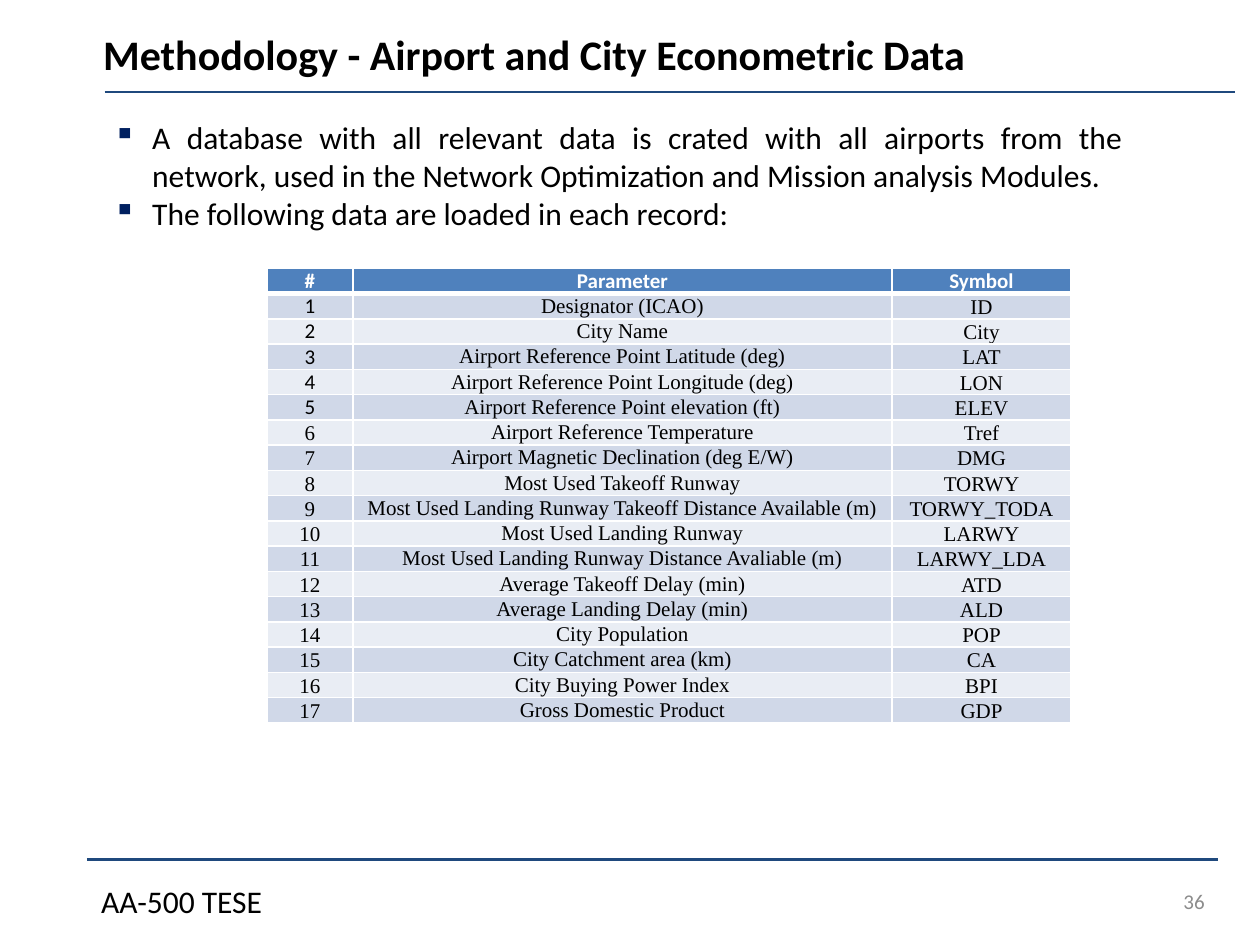
"""Builds the airport and city econometric data slide."""
import typing

import pptx
import pptx.dml.color
import pptx.enum.shapes
import pptx.enum.text
import pptx.oxml
import pptx.oxml.ns
import pptx.util

Inches = pptx.util.Inches
Pt = pptx.util.Pt
Align = pptx.enum.text.PP_ALIGN
Anchor = pptx.enum.text.MSO_ANCHOR
SANS, SERIF = "Calibri", "Times New Roman"
BLACK, WHITE = "000000", "FFFFFF"


class Rule(typing.NamedTuple):
    left: float
    right: float
    top: float


class Label(typing.NamedTuple):
    box: tuple
    lines: tuple
    size: int
    align: typing.Any = Align.LEFT
    color: str = BLACK
    bold: bool = False
    anchor: typing.Any = Anchor.TOP
    bullet: bool = False


class Field(typing.NamedTuple):
    name: str
    symbol: str


RULES = (Rule(0.83, 9.8, 0.73), Rule(0.69, 9.67, 6.82))
LABELS = (
    Label((-0.02, 6.95, 2.2, 0.4), ("AA-500 TESE",), 18, Align.RIGHT),
    Label((7.33, 6.95, 2.33, 0.4), ("36",), 12, Align.RIGHT, "8C8C8C",
          anchor=Anchor.MIDDLE),
    Label((0.72, 0.18, 7.28, 0.91),
          ("Methodology - Airport and City Econometric Data",), 24, bold=True),
    Label((0.8, 0.89, 8.21, 1.01), (
        "A database with all relevant data is crated with all airports from "
        "the network, used in the Network Optimization and Mission analysis "
        "Modules.",
        "The following data are loaded in each record:",
    ), 18, Align.JUSTIFY, bullet=True),
)
FIELDS = (
    Field("Designator (ICAO)", "ID"),
    Field("City Name", "City"),
    Field("Airport Reference Point Latitude (deg)", "LAT"),
    Field("Airport Reference Point Longitude (deg)", "LON"),
    Field("Airport Reference Point elevation (ft)", "ELEV"),
    Field("Airport Reference Temperature", "Tref"),
    Field("Airport Magnetic Declination (deg E/W)", "DMG"),
    Field("Most Used Takeoff Runway", "TORWY"),
    Field("Most Used Landing Runway Takeoff Distance Available (m)",
          "TORWY_TODA"),
    Field("Most Used Landing Runway", "LARWY"),
    Field("Most Used Landing Runway Distance Avaliable (m)", "LARWY_LDA"),
    Field("Average Takeoff Delay (min)", "ATD"),
    Field("Average Landing Delay (min)", "ALD"),
    Field("City Population", "POP"),
    Field("City Catchment area (km)", "CA"),
    Field("City Buying Power Index", "BPI"),
    Field("Gross Domestic Product", "GDP"),
)
WIDTHS = (0.68, 4.28, 1.42)
HEIGHT = 0.2


def rgb(code: str) -> pptx.dml.color.RGBColor:
    """Turn a hex string into a colour."""
    return pptx.dml.color.RGBColor.from_string(code)


def add_xml(parent: typing.Any, tag: str, body: str) -> None:
    """Append one drawing element to a parent."""
    space = pptx.oxml.ns.nsdecls("a")
    parent.append(pptx.oxml.parse_xml(f"<a:{tag} {space} {body}"))


def style(para: typing.Any, face: str, size: int, color: str,
          bold: bool, align: typing.Any) -> None:
    """Set the font and alignment of a paragraph."""
    para.alignment = align
    para.font.name = face
    para.font.size = Pt(size)
    para.font.bold = bold
    para.font.color.rgb = rgb(color)


def draw_rule(slide: typing.Any, rule: Rule) -> None:
    """Draw a horizontal rule."""
    top = Inches(rule.top)
    line = slide.shapes.add_connector(
        pptx.enum.shapes.MSO_CONNECTOR.STRAIGHT,
        Inches(rule.left), top, Inches(rule.right), top)
    line.line.color.rgb = rgb("1F497D")
    line.line.width = Pt(1.5)
    add_xml(line._element.spPr, "effectLst", "/>")


def add_bullet(para: typing.Any) -> None:
    """Give a paragraph a square bullet and a hanging indent."""
    props = para._p.get_or_add_pPr()
    props.set("marL", str(Inches(0.31)))
    props.set("indent", str(-Inches(0.31)))
    add_xml(props, "buClr", '><a:srgbClr val="002060"/></a:buClr>')
    add_xml(props, "buChar", 'char="▪"/>')


def draw_label(slide: typing.Any, label: Label) -> None:
    """Draw a text box."""
    frame = slide.shapes.add_textbox(*map(Inches, label.box)).text_frame
    frame.word_wrap = True
    frame.vertical_anchor = label.anchor
    frame.text = "\n".join(label.lines)
    for para in frame.paragraphs:
        if label.bullet:
            add_bullet(para)
        style(para, SANS, label.size, label.color, label.bold, label.align)


def fill_cell(cell: typing.Any, text: str, row: int, col: int) -> None:
    """Write and style one table cell."""
    head = row == 0
    cell.text = text
    cell.margin_left = cell.margin_right = Inches(0.07)
    cell.margin_top = cell.margin_bottom = 0
    middle = col == 1 and not head
    cell.vertical_anchor = Anchor.MIDDLE if middle else Anchor.BOTTOM
    face = SANS if head or (col == 0 and row <= 5) else SERIF
    style(cell.text_frame.paragraphs[0], face, 12,
          WHITE if head else BLACK, head, Align.CENTER)
    props = cell._tc.get_or_add_tcPr()
    thick = {"lnB": 3} if head else {"lnT": 3} if row == 1 else {}
    for side in ("lnL", "lnR", "lnT", "lnB"):
        add_xml(props, side, f'w="{Pt(thick.get(side, 1))}"><a:solidFill>'
                f'<a:srgbClr val="{WHITE}"/></a:solidFill></a:{side}>')
    cell.fill.solid()
    band = "D0D8E8" if row % 2 else "E9EDF4"
    cell.fill.fore_color.rgb = rgb("4F81BD" if head else band)


def draw_table(slide: typing.Any) -> None:
    """Draw the table of record fields."""
    rows = [("#", "Parameter", "Symbol")]
    rows += [(str(num), *field) for num, field in enumerate(FIELDS, 1)]
    table = slide.shapes.add_table(
        len(rows), len(WIDTHS), Inches(2.12), Inches(2.13),
        Inches(sum(WIDTHS)), Inches(HEIGHT * len(rows))).table
    for col, width in zip(table.columns, WIDTHS):
        col.width = Inches(width)
    for row, texts in enumerate(rows):
        table.rows[row].height = Inches(HEIGHT)
        for col, text in enumerate(texts):
            fill_cell(table.cell(row, col), text, row, col)


def main() -> None:
    """Build and save the slide."""
    deck = pptx.Presentation()
    deck.slide_width, deck.slide_height = Inches(10), Inches(7.5)
    slide = deck.slides.add_slide(deck.slide_layouts[6])
    for rule in RULES:
        draw_rule(slide, rule)
    for label in LABELS:
        draw_label(slide, label)
    draw_table(slide)
    deck.save("out.pptx")


if __name__ == "__main__":
    main()
